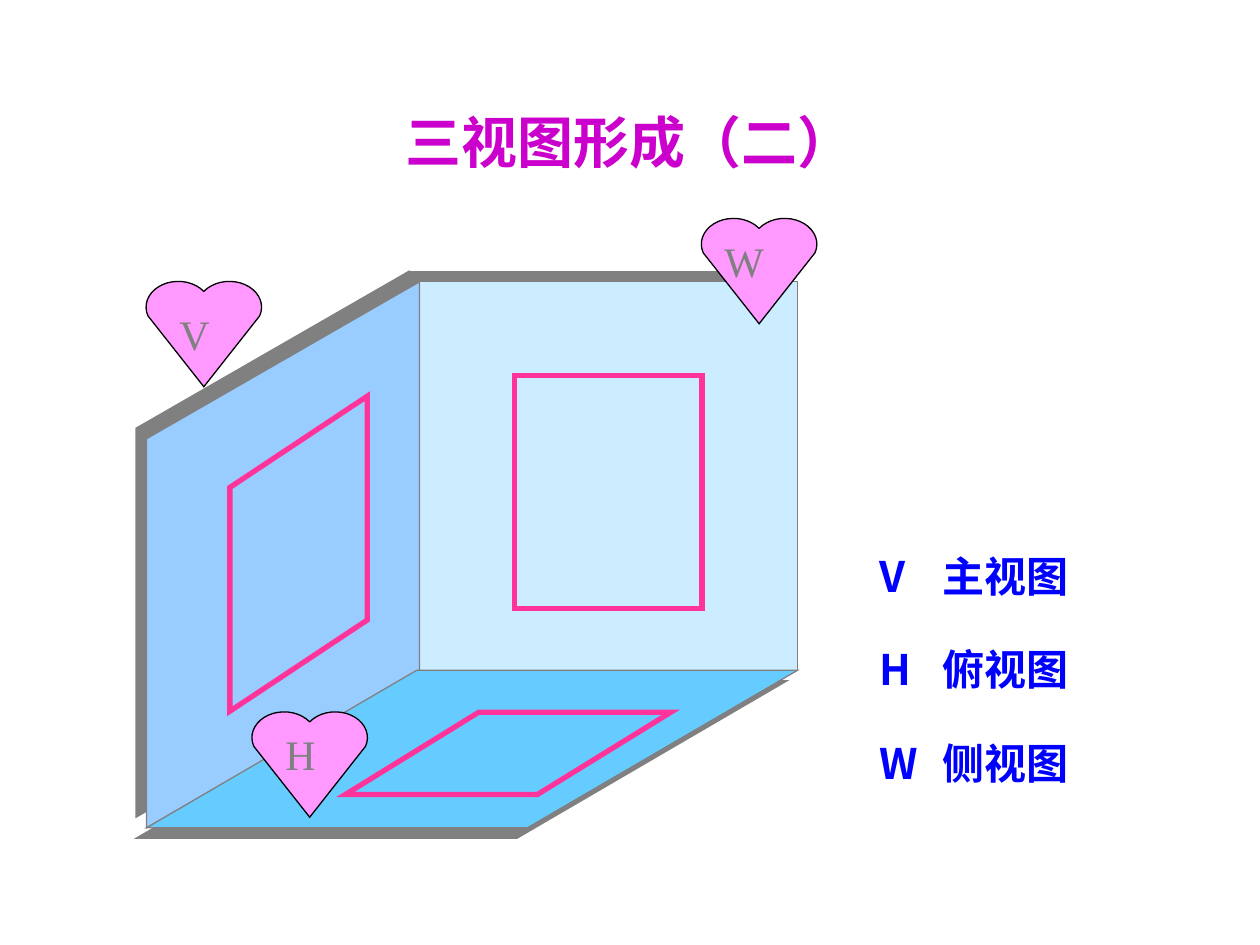
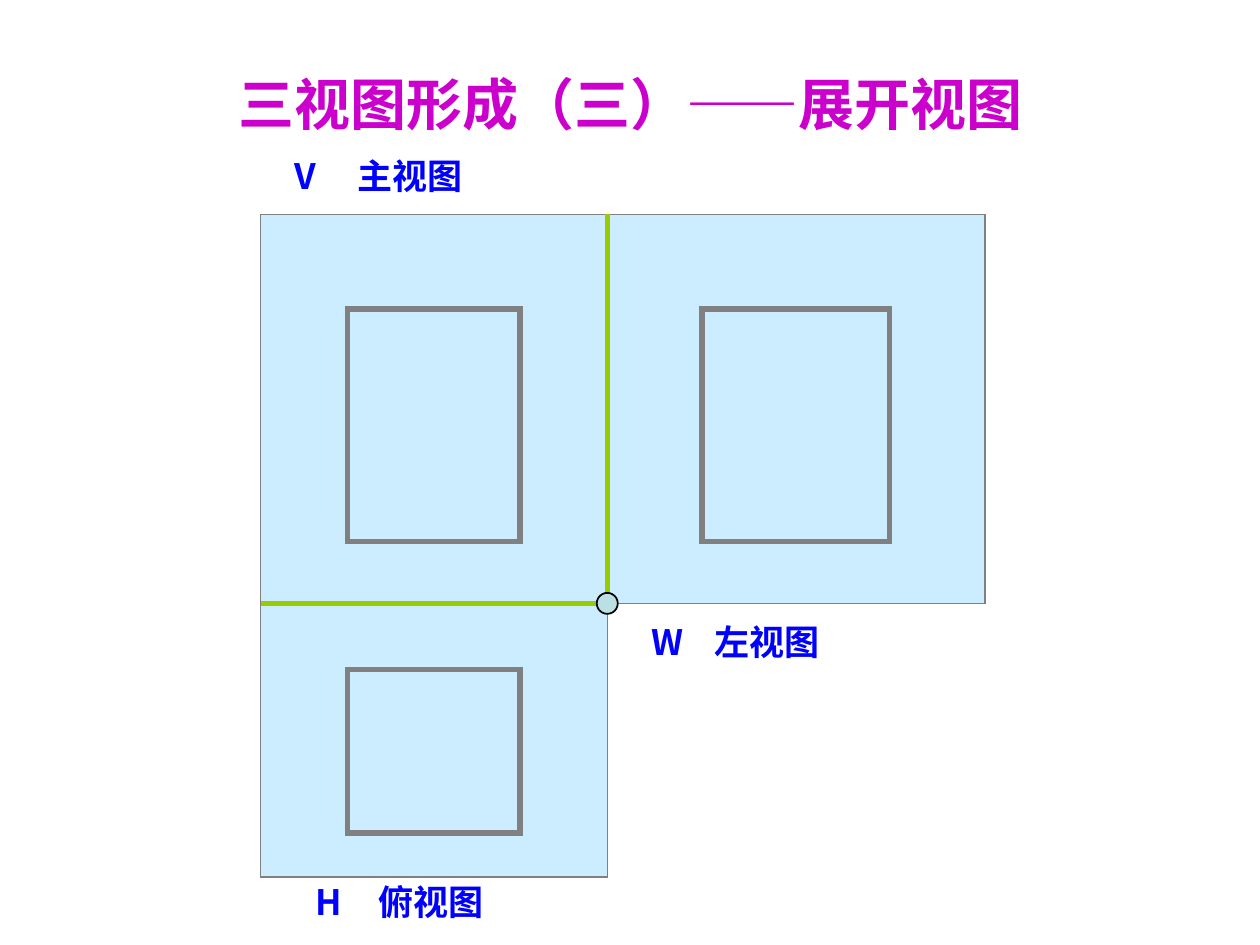
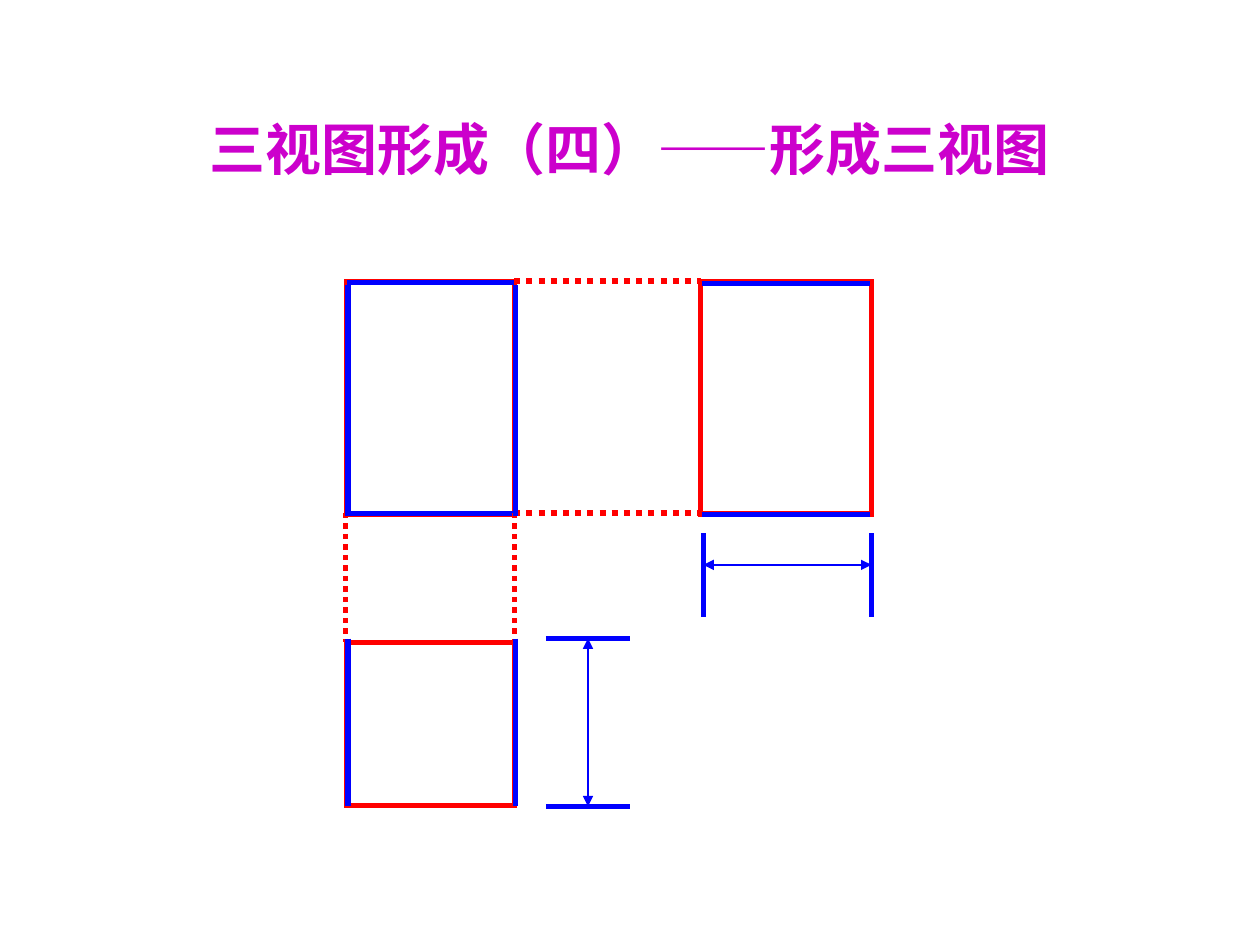
from math import cos, radians, sin

from lxml import etree
from pptx import Presentation
from pptx.dml.color import RGBColor
from pptx.enum.dml import MSO_LINE
from pptx.enum.shapes import MSO_CONNECTOR, MSO_SHAPE
from pptx.enum.text import MSO_ANCHOR, MSO_AUTO_SIZE, PP_ALIGN
from pptx.oxml.ns import qn
from pptx.util import Pt

RECTANGLE = MSO_SHAPE.RECTANGLE
PARALLELOGRAM = MSO_SHAPE.PARALLELOGRAM
OVAL = MSO_SHAPE.OVAL
STRAIGHT = MSO_CONNECTOR.STRAIGHT
DOTTED = MSO_LINE.ROUND_DOT
MIDDLE = MSO_ANCHOR.MIDDLE
TOP = MSO_ANCHOR.TOP
CENTER = PP_ALIGN.CENTER
LEFT = PP_ALIGN.LEFT
FIXED = MSO_AUTO_SIZE.NONE

PURPLE = RGBColor(0xCC, 0x00, 0xCC)
BLUE = RGBColor(0x00, 0x00, 0xFF)
RED = RGBColor(0xFF, 0x00, 0x00)
PINK = RGBColor(0xFF, 0x33, 0x99)
HEART_PINK = RGBColor(0xFF, 0x99, 0xFF)
GRAY = RGBColor(0x80, 0x80, 0x80)
BLACK = RGBColor(0x00, 0x00, 0x00)
GREEN = RGBColor(0x99, 0xCC, 0x00)
PALE_BLUE = RGBColor(0xCC, 0xEC, 0xFF)
MID_BLUE = RGBColor(0x99, 0xCC, 0xFF)
SKY_BLUE = RGBColor(0x66, 0xCC, 0xFF)
ORIGIN_BLUE = RGBColor(0xBB, 0xE0, 0xE3)

HAN_FONT = "Noto Sans CJK SC"
LETTER_FONT = "Times New Roman"
TAB_EMS = {"V": 1.3, "H": 1.44, "W": 1.58}


def points(*lengths):
    """Convert numbers of points to lengths."""
    return [Pt(length) for length in lengths]


def write(holder, words, size, color, font_name, bold=False, anchor=TOP, align=LEFT):
    """Fill a text holder with one paragraph in one font."""
    frame = holder.text_frame
    frame.text = words
    frame.word_wrap = True
    frame.auto_size = FIXED
    frame.vertical_anchor = anchor
    paragraph = frame.paragraphs[0]
    paragraph.alignment = align
    font = paragraph.font
    font.size = Pt(size)
    font.bold = bold
    font.color.rgb = color
    font.name = font_name
    defaults = holder.element.find(".//" + qn("a:defRPr"))
    etree.SubElement(defaults, qn("a:ea"), typeface=font_name)


def add_titled_slide(deck, title, box):
    """Add a title-only slide with its purple title in the given box."""
    slide = deck.slides.add_slide(deck.slide_layouts[5])
    heading = slide.shapes.title
    heading.left, heading.top, heading.width, heading.height = points(*box)
    write(heading, title, 32, PURPLE, HAN_FONT, True, MIDDLE, CENTER)
    return slide


def add_caption(slide, letter, view, box, size):
    """Add a plane letter followed by the name of its view."""
    caption = slide.shapes.add_textbox(*points(*box))
    properties = caption.element.find(".//" + qn("a:p")).get_or_add_pPr()
    tabs = etree.SubElement(properties, qn("a:tabLst"))
    etree.SubElement(tabs, qn("a:tab"), pos=str(Pt(size * TAB_EMS[letter])), algn="l")
    write(caption, f"{letter}\t{view}", size, BLUE, HAN_FONT, True)


def paint(shape, fill, line, weight):
    """Give a shape its fill and a sharp-cornered outline."""
    shape.shadow.inherit = False
    if fill is None:
        shape.fill.background()
    else:
        shape.fill.solid()
        shape.fill.fore_color.rgb = fill
    shape.line.color.rgb = line
    shape.line.width = Pt(weight)
    outline = shape.element.spPr.find(qn("a:ln"))
    etree.SubElement(outline, qn("a:miter"), lim="800000")


def add_panel(slide, kind, box, fill, line, weight, skew=None):
    """Add a painted shape, skewed when a ratio is given."""
    panel = slide.shapes.add_shape(kind, *points(*box))
    if skew is not None:
        panel.adjustments[0] = skew
    paint(panel, fill, line, weight)
    return panel


def add_upright_panel(slide, box, fill, line, weight, skew):
    """Add a parallelogram with vertical sides that fills the box."""
    left, top, width, height = box
    shift = (height - width) / 2
    turned = (left - shift, top + shift, height, width)
    panel = add_panel(slide, PARALLELOGRAM, turned, fill, line, weight, skew)
    panel.rotation = 90
    panel.element.spPr.find(qn("a:xfrm")).set("flipH", "1")
    return panel


def cast_shadow(panel, degrees):
    """Give a panel a hard gray shadow in one direction."""
    effects = panel.element.spPr.find(qn("a:effectLst"))
    shadow = etree.SubElement(effects, qn("a:outerShdw"), dist=str(Pt(8.5)),
                              dir=str(degrees * 60000), algn="ctr", rotWithShape="0")
    etree.SubElement(shadow, qn("a:srgbClr"), val=str(GRAY))


def add_heart(slide, letter, left, top, letter_dx, letter_dy):
    """Add a heart of two elliptic lobes and a tip, marked with a plane letter."""
    center, radius_x, radius_y, tip = 33, 18.4, 14.7, 60.2
    left_lobe = [(radius_x * (1 + cos(radians(angle))), radius_y * (1 + sin(radians(angle))))
                 for angle in range(160, 323, 9)]
    right_lobe = [(2 * center - x, y) for x, y in reversed(left_lobe)]
    outline = [points(left + x, top + y) for x, y in left_lobe + right_lobe]
    builder = slide.shapes.build_freeform(*points(left + center, top + tip))
    builder.add_line_segments(outline, close=True)
    paint(builder.convert_to_shape(), HEART_PINK, BLACK, 0.75)
    mark = slide.shapes.add_textbox(*points(left + letter_dx, top + letter_dy, 36, 60))
    write(mark, letter, 24, GRAY, LETTER_FONT, anchor=MIDDLE)


def add_line(slide, start, end, color, weight, dash=None, arrows=False):
    """Add a straight line, dashed or with arrowheads at both ends."""
    line = slide.shapes.add_connector(STRAIGHT, *points(*start, *end))
    line.line.color.rgb = color
    line.line.width = Pt(weight)
    if dash is not None:
        line.line.dash_style = dash
    properties = line.element.spPr
    if arrows:
        for tag in ("a:headEnd", "a:tailEnd"):
            etree.SubElement(properties.find(qn("a:ln")), qn(tag), type="triangle")
    etree.SubElement(properties, qn("a:effectLst"))


def add_opposite_sides(slide, box, across, color=BLUE, weight=3, dash=None):
    """Draw the top and bottom of a box, or else its left and right."""
    left, top, width, height = box
    right, bottom = left + width, top + height
    if across:
        sides = [((left, y), (right, y)) for y in (top, bottom)]
    else:
        sides = [((x, top), (x, bottom)) for x in (left, right)]
    for start, end in sides:
        add_line(slide, start, end, color, weight, dash)


def add_dimension(slide, box, across, offset):
    """Draw two limit marks and the double arrow between them."""
    left, top, width, height = box
    add_opposite_sides(slide, box, across)
    if across:
        start, end = (left + offset, top), (left + offset, top + height)
    else:
        start, end = (left, top + offset), (left + width, top + offset)
    add_line(slide, start, end, BLUE, 1, arrows=True)


def add_corner(slide, left, top):
    """Draw the three shaded projection planes meeting in a corner."""
    side = add_panel(slide, RECTANGLE, (left + 156, top, 216, 222), PALE_BLUE, GRAY, 0.75)
    front = add_upright_panel(slide, (left, top, 156, 312), MID_BLUE, GRAY, 0.75, 0.575)
    floor = add_panel(slide, PARALLELOGRAM, (left, top + 222, 372, 90), SKY_BLUE, GRAY, 0.75, 1.715)
    for panel, degrees in ((side, 225), (front, 225), (floor, 135)):
        cast_shadow(panel, degrees)


def add_corner_views(slide, left, top):
    """Outline the three projected views on the corner's planes."""
    add_upright_panel(slide, (left + 47.6, top + 65.4, 78.5, 180), None, PINK, 3, 0.664)
    add_panel(slide, PARALLELOGRAM, (left + 113.6, top + 246, 186, 47), None, PINK, 3, 1.622)
    add_panel(slide, RECTANGLE, (left + 210, top + 53.6, 107.3, 133.3), None, PINK, 3)


def build_corner_slide(deck):
    """Build the slide of views projected on three planes."""
    slide = add_titled_slide(deck, "三视图形成（二）", (183, 47.5, 354, 66))
    left, top = 83.8, 161
    add_corner(slide, left, top)
    add_heart(slide, "W", 400.8, 124.8, 6, -6)
    for row, (letter, view) in enumerate((("V", "主视图"), ("H", "俯视图"), ("W", "侧视图"))):
        add_caption(slide, letter, view, (495.4, 311 + 53.4 * row, 176, 36), 24)
    add_heart(slide, "H", 144, 406.8, 12, -6)
    add_heart(slide, "V", 83.5, 160.8, 12, 0)
    add_corner_views(slide, left, top)


def add_flat_plane(slide, plane, view):
    """Draw an unfolded plane with its view outlined on it."""
    add_panel(slide, RECTANGLE, plane, PALE_BLUE, GRAY, 0.75)
    add_panel(slide, RECTANGLE, view, None, GRAY, 3)


def build_unfolded_slide(deck):
    """Build the slide of the three planes laid flat."""
    slide = add_titled_slide(deck, "三视图形成（三）——展开视图", (80, 28.8, 561, 60))
    left, top, axis_x, axis_y = 149, 122.4, 347, 344.8
    front_width, front_height = axis_x - left, axis_y - top
    add_flat_plane(slide, (left, top, front_width, front_height), (198.6, 176.6, 98.6, 133))
    add_flat_plane(slide, (left, axis_y, front_width, 156.4), (198.6, 382.5, 98.6, 93.5))
    add_flat_plane(slide, (axis_x, top, 216, front_height), (401.2, 176.6, 107.2, 133))
    add_caption(slide, "V", "主视图", (161.4, 85, 222, 31.5), 20)
    add_caption(slide, "H", "俯视图", (173, 499.8, 162, 31.5), 20)
    add_caption(slide, "W", "左视图", (365, 350.8, 174, 31.5), 20)
    for end in ((left, axis_y), (axis_x, top)):
        add_line(slide, (axis_x, axis_y), end, GREEN, 3)
    add_panel(slide, OVAL, (axis_x - 6, axis_y - 6, 12, 12), ORIGIN_BLUE, BLACK, 1)


def build_views_slide(deck):
    """Build the slide of the finished views and their shared sizes."""
    slide = add_titled_slide(deck, "三视图形成（四）——形成三视图", (63, 54.7, 594, 60))
    side_view = (400.5, 160.8, 97.5, 133)
    front_view = (198, 160.8, 96, 133)
    top_view = (198, 367, 96, 93.5)
    for view in (side_view, front_view, top_view):
        add_panel(slide, RECTANGLE, view, None, RED, 3)
    add_dimension(slide, (402, 304.8, 96, 48), False, 18)
    add_dimension(slide, (312, 364.8, 48, 96), True, 24)
    add_opposite_sides(slide, (198, 161.4, 96, 132.2), True)
    add_opposite_sides(slide, (293.8, 160.8, 106.7, 132.4), True, RED, 3.5, DOTTED)
    add_opposite_sides(slide, (401, 162, 96, 132), True)
    add_opposite_sides(slide, (197.4, 293, 96.6, 74), False, RED, 3, DOTTED)
    add_opposite_sides(slide, (198.8, 162.6, 95.8, 132.4), False)
    add_opposite_sides(slide, (198.8, 365, 95.8, 95.8), False)


def main():
    """Build and save the three slides."""
    deck = Presentation()
    deck.slide_width, deck.slide_height = points(720, 540)
    build_corner_slide(deck)
    build_unfolded_slide(deck)
    build_views_slide(deck)
    deck.save("out.pptx")


if __name__ == "__main__":
    main()
